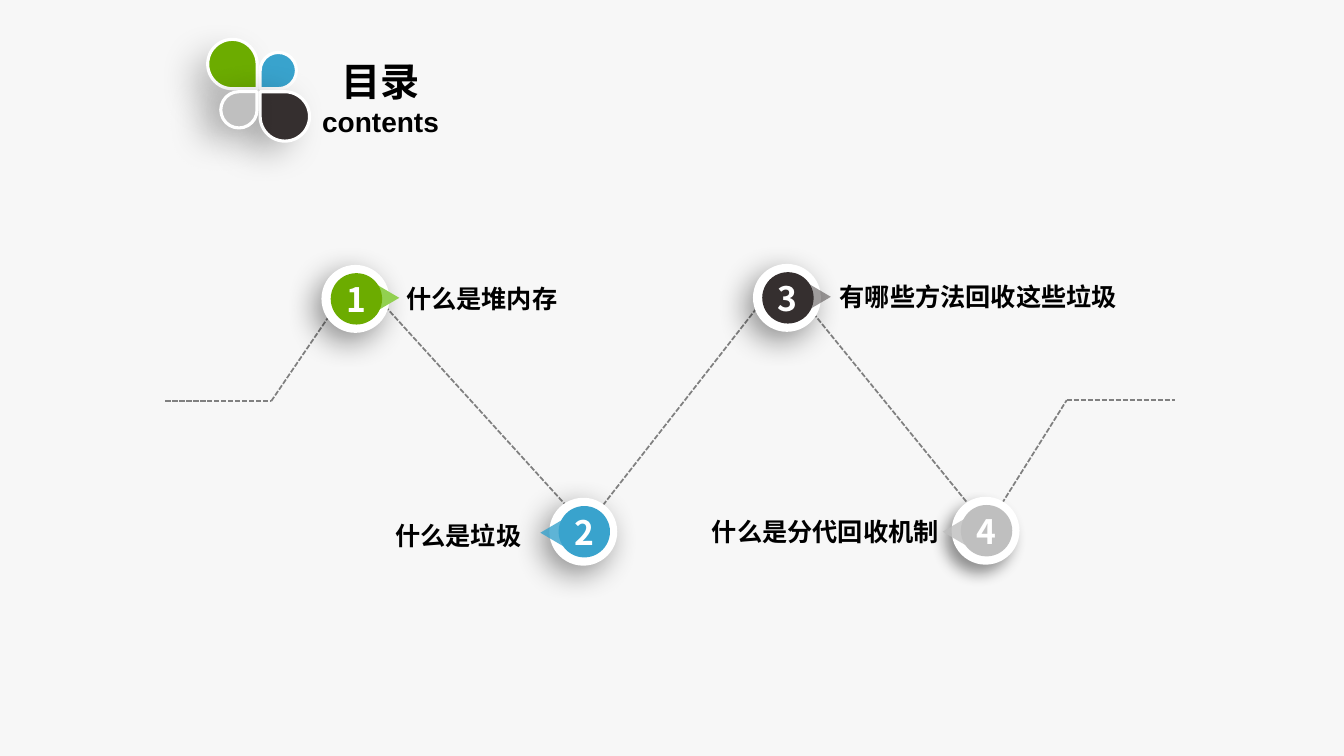
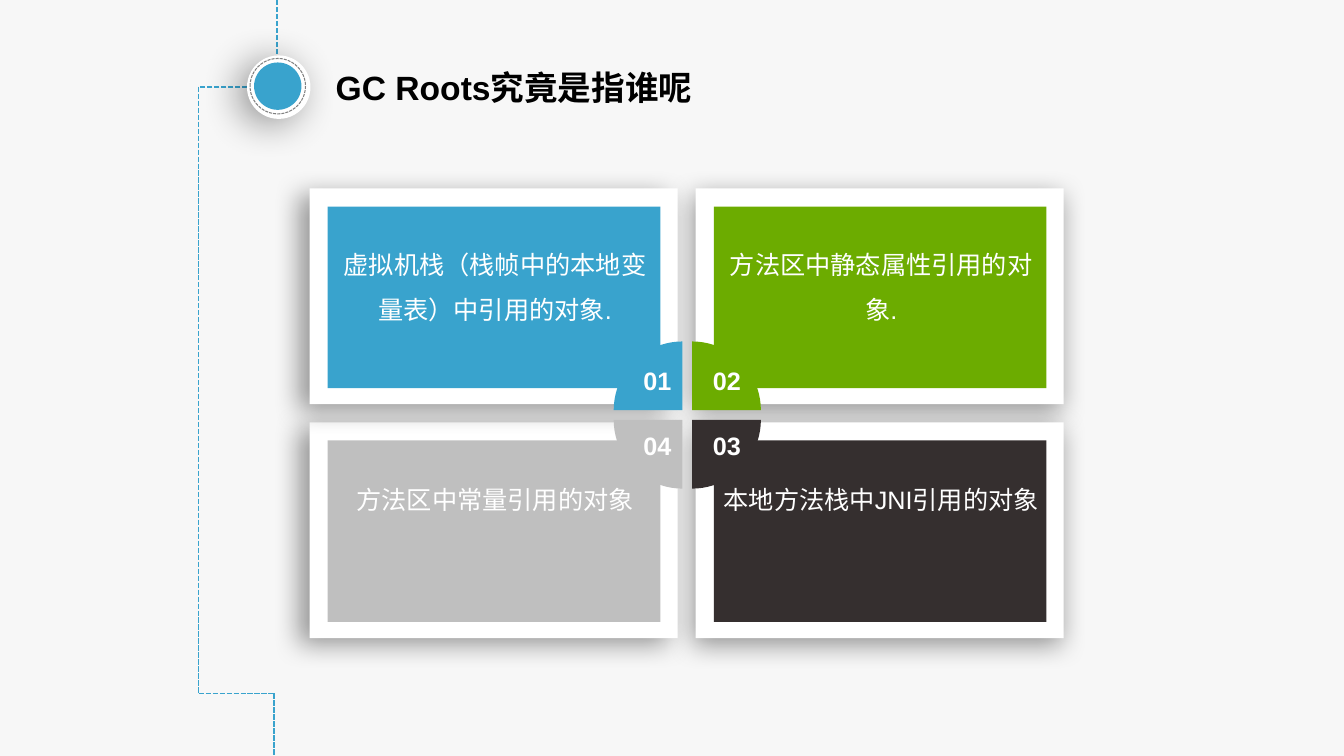
from lxml import etree
from pptx import Presentation, util as u
from pptx.chart.data import CategoryChartData
from pptx.dml.color import RGBColor
from pptx.enum import chart, dml, shapes, text
from pptx.oxml.ns import qn

GREEN = RGBColor(0x6C, 0xAC, 0x00)
LIME = RGBColor(0x92, 0xD0, 0x50)
BLUE = RGBColor(0x39, 0xA3, 0xCD)
DARK = RGBColor(0x35, 0x2F, 0x2F)
SILVER = RGBColor(0xBF, 0xBF, 0xBF)
GRAY = RGBColor(0x80, 0x80, 0x80)
WHITE = RGBColor(0xFF, 0xFF, 0xFF)
BLACK = RGBColor(0x00, 0x00, 0x00)
PAPER = RGBColor(0xF7, 0xF7, 0xF7)

KIND = shapes.MSO_SHAPE
LEFT, MID, RIGHT = text.PP_ALIGN.LEFT, text.PP_ALIGN.CENTER, text.PP_ALIGN.RIGHT
TOP, CENTER = text.MSO_ANCHOR.TOP, text.MSO_ANCHOR.MIDDLE
DASH = dml.MSO_LINE.SQUARE_DOT
CJK = "Noto Sans CJK SC"


def adjust(item, values):
    for name, value in values.items():
        setattr(item, name, value)


def sub(parent, tag, **values):
    return etree.SubElement(parent, qn(tag), {k: str(v) for k, v in values.items()})


class Deck:
    def __init__(self):
        self.prs = Presentation()
        adjust(self.prs, {"slide_width": u.Inches(13.33), "slide_height": u.Inches(7.5)})
        fill = self.prs.slide_master.background.fill
        fill.solid()
        fill.fore_color.rgb = PAPER
        self.slide = None

    def start(self, lines, box, align=LEFT):
        self.slide = self.prs.slides.add_slide(self.prs.slide_layouts[5])
        title = self.slide.shapes.title
        sides = ("left", "top", "width", "height")
        adjust(title, {side: u.Inches(n) for side, n in zip(sides, box)})
        self.letter(title, lines, align)

    def letter(self, shape, lines, align=LEFT, anchor=CENTER, wrap=True, pad=0.1, para=None):
        frame = shape.text_frame
        adjust(frame, {
            "auto_size": text.MSO_AUTO_SIZE.NONE, "word_wrap": wrap,
            "vertical_anchor": anchor,
            "margin_left": u.Inches(pad), "margin_right": u.Inches(pad),
        })
        for i, (words, size, font, color, bold) in enumerate(lines):
            row = frame.add_paragraph() if i else frame.paragraphs[0]
            adjust(row, {"alignment": align, **(para or {})})
            run = row.add_run()
            run.text = words
            run.font.color.rgb = color
            adjust(run.font, {"size": u.Pt(size), "name": font, "bold": bold})
            sub(run.font._element, "a:ea", typeface=CJK)

    def label(self, words, box, color=BLACK, bold=True, **style):
        shape = self.slide.shapes.add_textbox(*map(u.Inches, box))
        self.letter(shape, [(words, 18, "Arial", color, bold)], **style)

    def shape(self, kind, box, fill=None, line=None, shadow=None, turn=0, alpha=100):
        shape = self.slide.shapes.add_shape(kind, *map(u.Inches, box))
        shape.rotation = turn
        shape.shadow.inherit = False
        if fill is None:
            shape.fill.background()
        else:
            shape.fill.solid()
            shape.fill.fore_color.rgb = fill
        props = shape.element.spPr
        if alpha < 100:
            tint = props.find(qn("a:solidFill")).find(qn("a:srgbClr"))
            sub(tint, "a:alpha", val=alpha * 1000)
        if line is None:
            shape.line.fill.background()
        else:
            shape.line.color.rgb, shape.line.width = line[0], u.Pt(line[1])
            if len(line) > 2:
                shape.line.dash_style = line[2]
        if shadow:
            shade, blur, dist, angle = shadow
            outer = sub(props.find(qn("a:effectLst")), "a:outerShdw",
                        blurRad=u.Pt(blur), dist=u.Pt(dist), dir=angle * 60000,
                        algn="ctr", rotWithShape=0)
            sub(sub(outer, "a:srgbClr", val=BLACK), "a:alpha", val=shade * 1000)
        return shape

    def route(self, points, color):
        for start, end in zip(points, points[1:]):
            ends = [u.Inches(n) for n in start + end]
            line = self.slide.shapes.add_connector(shapes.MSO_CONNECTOR.STRAIGHT, *ends)
            line.line.color.rgb = color
            adjust(line.line, {"width": u.Pt(1.25), "dash_style": DASH})
            sub(line.element.spPr, "a:effectLst")

    def badge(self, words, x, y, fill, tip, alpha, blur, right):
        self.shape(KIND.OVAL, (x, y, 0.59, 0.59), WHITE, (WHITE, 6), (41, blur, 8, 130))
        dx, dy, turn = (0.48, 0.17, 90) if right else (-0.15, 0.19, 270)
        self.shape(KIND.ISOSCELES_TRIANGLE, (x + dx, y + dy, 0.27, 0.23), tip,
                   turn=turn, alpha=alpha)
        dot = self.shape(KIND.OVAL, (x + 0.05, y + 0.04, 0.51, 0.51), fill)
        self.letter(dot, [(words, 24, CJK, WHITE, True)], MID, pad=0)

    def pie(self, box, colors, plot, gap):
        data = CategoryChartData()
        data.categories = [str(i + 1) for i in range(len(colors))]
        data.add_series("Series 1", [25] * len(colors))
        pie = self.slide.shapes.add_chart(
            chart.XL_CHART_TYPE.PIE, *map(u.Inches, box), data).chart
        adjust(pie, {"has_legend": False, "has_title": False})
        adjust(pie.font, {"name": "Calibri", "size": u.Pt(18)})
        pie.font.color.rgb = BLACK
        pie.plots[0].vary_by_categories = True
        series = pie.plots[0].series[0]
        for i, color in enumerate(colors):
            style = series.points[i].format
            style.fill.solid()
            style.fill.fore_color.rgb = color
            style.line.fill.background()
        burst = etree.Element(qn("c:explosion"), val=str(gap))
        series._element.find(qn("c:tx")).addnext(burst)
        area = pie._chartSpace.find(".//" + qn("c:plotArea"))
        for old in area.findall(qn("c:layout")):
            area.remove(old)
        layout = etree.Element(qn("c:layout"))
        manual = sub(layout, "c:manualLayout")
        sub(manual, "c:layoutTarget", val="inner")
        for tag in ("xMode", "yMode"):
            sub(manual, "c:" + tag, val="edge")
        for tag, value in zip("xywh", plot):
            sub(manual, "c:" + tag, val=value)
        area.insert(0, layout)


def contents(deck):
    deck.start([("目录", 28, CJK, BLACK, True), ("contents", 20, "Arial", BLACK, True)],
               (3.07, 0.62, 1.41, 0.7), MID)
    deck.route([(1.64, 3.98), (2.69, 3.98), (3.54, 2.73), (5.81, 5.23), (7.76, 2.73),
                (9.79, 5.23), (10.58, 3.97), (11.65, 3.97)], GRAY)
    petals = [
        (2.06, 0.39, 0.49, GREEN, 90, (23, 26, 15, 130)),
        (2.58, 0.52, 0.36, BLUE, 180, None),
        (2.58, 0.91, 0.49, DARK, 270, (31, 26, 15, 160)),
        (2.19, 0.91, 0.36, SILVER, 0, (28, 26, 15, 150)),
    ]
    for x, y, size, fill, turn, shadow in petals:
        deck.shape(KIND.TEAR, (x, y, size, size), fill, (WHITE, 2.25), shadow, turn)
    topics = [
        ("1", 3.23, 2.67, GREEN, LIME, 100, 22, True, "什么是堆内存", 3.93, 2.61),
        ("3", 7.51, 2.66, DARK, DARK, 48, 22, True, "有哪些方法回收这些垃圾", 8.23, 2.59),
        ("2", 5.49, 4.98, BLUE, BLUE, 81, 22, False, "什么是垃圾", 2.14, 4.96),
        ("4", 9.48, 4.97, SILVER, SILVER, 82, 11, False, "什么是分代回收机制", 6.28, 4.92),
    ]
    for *mark, right, words, x, y in topics:
        deck.badge(*mark, right)
        deck.label(words, (x, y, 3.13, 0.7), align=LEFT if right else RIGHT)


def roots(deck):
    deck.start([("GC Roots究竟是指谁呢", 24, "Arial", BLACK, True)], (3.23, 0.51, 5.39, 0.7))
    deck.route([(2.8, 0.86), (1.97, 0.86), (1.97, 6.88), (2.72, 6.88), (2.72, 7.5)], BLUE)
    deck.route([(2.75, 0), (2.75, 0.83)], BLUE)
    deck.shape(KIND.OVAL, (2.45, 0.55, 0.63, 0.63), WHITE, shadow=(40, 28, 8, 150))
    deck.shape(KIND.OVAL, (2.52, 0.62, 0.47, 0.47), BLUE)
    deck.shape(KIND.OVAL, (2.48, 0.58, 0.55, 0.55), line=(GRAY, 0.75, DASH))
    cards = [
        (1, 0, "02", GREEN, "方法区中静态属性引用的对象."),
        (1, 1, "03", DARK, "本地方法栈中JNI引用的对象"),
        (0, 1, "04", SILVER, "方法区中常量引用的对象"),
        (0, 0, "01", BLUE, "虚拟机栈（栈帧中的本地变量表）中引用的对象."),
    ]
    for col, row, *_ in cards:
        shadow = (40, 19, 5, 110) if col else (40, 19, 9, 150)
        deck.shape(KIND.RECTANGLE, (3.07 + 3.83 * col, 1.87 + 2.32 * row, 3.65, 2.14),
                   WHITE, shadow=shadow)
    for col, row, _, fill, _ in cards:
        deck.shape(KIND.RECTANGLE, (3.25 + 3.83 * col, 2.05 + 2.32 * row, 3.3, 1.8), fill)
    deck.pie((5.45, 3.14, 2.66, 1.88), [card[3] for card in cards],
             (0.232, 0.091, 0.564, 0.859), 10)
    for col, row, mark, _, words in cards:
        deck.label(mark, (6.28 + 0.69 * col, 3.58 + 0.64 * row, 0.48, 0.4), WHITE,
                   align=MID, anchor=TOP, wrap=False)
        deck.label(words, (3.23 + 3.83 * col, 2.27 + 2.34 * row, 3.36, 1), WHITE, False,
                   align=MID, anchor=TOP,
                   para={"line_spacing": 1.5, "space_after": u.Pt(6)})


def main():
    deck = Deck()
    contents(deck)
    roots(deck)
    deck.prs.save("out.pptx")


if __name__ == "__main__":
    main()
